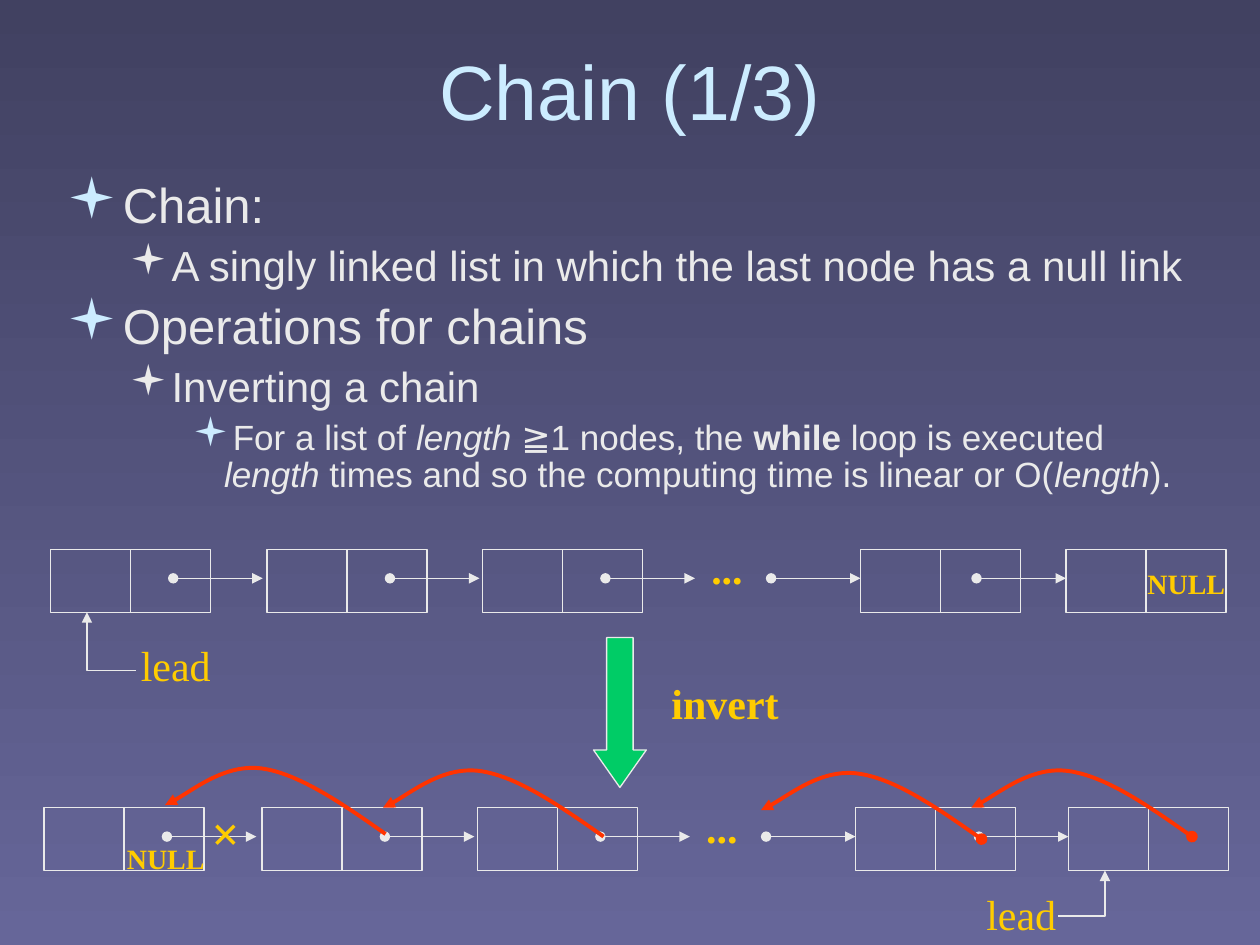
from lxml import etree
from pptx import Presentation
from pptx.dml.color import RGBColor
from pptx.enum.shapes import MSO_CONNECTOR, MSO_SHAPE
from pptx.enum.text import MSO_ANCHOR, MSO_AUTO_SIZE, PP_ALIGN
from pptx.oxml.ns import qn
from pptx.util import Inches, Pt

STRAIGHT = MSO_CONNECTOR.STRAIGHT
RECTANGLE, DOWN_ARROW = MSO_SHAPE.RECTANGLE, MSO_SHAPE.DOWN_ARROW
MIDDLE, CENTER = MSO_ANCHOR.MIDDLE, PP_ALIGN.CENTER
GROW = MSO_AUTO_SIZE.SHAPE_TO_FIT_TEXT

BG_TOP = RGBColor(0x41, 0x41, 0x61)
BG_BOTTOM = RGBColor(0x66, 0x66, 0x99)
PALE_BLUE = RGBColor(0xCC, 0xEC, 0xFF)
LIGHT = RGBColor(0xEA, 0xEA, 0xEA)
YELLOW = RGBColor(0xFF, 0xCC, 0x00)
RED = RGBColor(0xFF, 0x33, 0x00)
GREEN = RGBColor(0x00, 0xCC, 0x66)

SANS, SERIF, SYMBOLS = "Arial", "Times New Roman", "Wingdings"
COLUMNS, ROWS = 100, 75

NODE_W, NODE_H = 12.7, 5
WIRE_DX, WIRE_DY, WIRE_LEN = 9.75, 2.3, 7.1
# Control points of a back link, relative to its start
BACK_LINK = [(-3.4, -2.4), (-6.9, -4.8), (-9.8, -5.2),
             (-12.7, -5.6), (-16.2, -2.8), (-17.5, -2.3)]

# Level: (left margin, first-line indent, space before, size, bullet colour, bullet %)
LEVELS = [
    (0.38, -0.38, 7, 28, PALE_BLUE, 115),
    (0.81, -0.31, 6, 24, LIGHT, 100),
    (1.25, -0.25, 5, 20, PALE_BLUE, 115),
]
ITALIC, BOLD = {"italic": True}, {"bold": True}
OUTLINE = [
    (0, [("Chain:", {})]),
    (1, [("A singly linked list in which the last node has a null link", {})]),
    (0, [("Operations for chains", {})]),
    (1, [("Inverting a chain", {})]),
    (2, [("For a list of ", {}), ("length", ITALIC), (" ≧1 nodes, the ", {}),
         ("while", BOLD), (" loop is executed ", {}), ("length", ITALIC),
         (" times and so the computing time is linear or O(", {}),
         ("length", ITALIC), (").", {})]),
]


def add_run(p, text, size=24, font=SERIF, color=YELLOW, bold=False, italic=False):
    r = p.add_run()
    r.text = text
    r.font.size, r.font.name = Pt(size), font
    r.font.bold, r.font.italic = bold, italic
    r.font.color.rgb = color


def add_bullet(p, margin, indent, color, percent):
    pPr = p._p.get_or_add_pPr()
    pPr.set("marL", str(Inches(margin)))
    pPr.set("indent", str(Inches(indent)))
    clr = etree.SubElement(pPr, qn("a:buClr"))
    etree.SubElement(clr, qn("a:srgbClr"), val=str(color))
    etree.SubElement(pPr, qn("a:buSzPct"), val=str(percent * 1000))
    etree.SubElement(pPr, qn("a:buFont"), typeface=SYMBOLS)
    etree.SubElement(pPr, qn("a:buChar"), char="▪")


def style_line(s, color=LIGHT, width=0.75, head=None, tail=None):
    s.line.color.rgb = color
    s.line.width = Pt(width)
    ln = s.line._get_or_add_ln()
    for tag, kind in (("a:headEnd", head), ("a:tailEnd", tail)):
        if kind:
            etree.SubElement(ln, qn(tag), type=kind)


def curve_segments(s):
    """Turn every three straight segments of a freeform into one cubic curve."""
    path = next(s._element.iter(qn("a:path")))
    segments = path.findall(qn("a:lnTo"))
    for i in range(0, len(segments), 3):
        curve = etree.SubElement(path, qn("a:cubicBezTo"))
        for segment in segments[i:i + 3]:
            curve.append(segment[0])
            path.remove(segment)


class Canvas:
    """Draws on one slide; lengths are columns and rows of a 100 by 75 grid."""

    def __init__(self, prs):
        self.slide = prs.slides.add_slide(prs.slide_layouts[6])
        self.col, self.row = prs.slide_width / COLUMNS, prs.slide_height / ROWS

    def at(self, *lengths):
        units = (self.col, self.row) * 2
        return [round(n * unit) for n, unit in zip(lengths, units)]

    def background(self, top, bottom):
        fill = self.slide.background.fill
        fill.gradient()
        fill.gradient_angle = 270
        for stop, color in zip(fill.gradient_stops, (top, bottom)):
            stop.color.rgb = color

    def text_box(self, x, y, w, h):
        tf = self.slide.shapes.add_textbox(*self.at(x, y, w, h)).text_frame
        tf.word_wrap = True
        return tf

    def label(self, text, x, y, w, h, **fmt):
        tf = self.text_box(x, y, w, h)
        tf.word_wrap, tf.auto_size = False, GROW
        tf.margin_left = tf.margin_right = 0
        tf.paragraphs[0].alignment = CENTER
        add_run(tf.paragraphs[0], text, **fmt)

    def outline(self, items, x, y, w, h):
        tf = self.text_box(x, y, w, h)
        for i, (level, runs) in enumerate(items):
            margin, indent, before, size, color, percent = LEVELS[level]
            p = tf.add_paragraph() if i else tf.paragraphs[0]
            p.level = level
            add_bullet(p, margin, indent, color, percent)
            p.line_spacing = 0.9
            if i:
                p.space_before = Pt(before)
            for text, fmt in runs:
                add_run(p, text, size=size, font=SANS, color=LIGHT, **fmt)

    def shape(self, kind, x, y, w, h, fill=None):
        s = self.slide.shapes.add_shape(kind, *self.at(x, y, w, h))
        s.shadow.inherit = False
        if fill is None:
            s.fill.background()
        else:
            s.fill.solid()
            s.fill.fore_color.rgb = fill
        style_line(s)
        return s

    def line(self, x1, y1, x2, y2, **style):
        s = self.slide.shapes.add_connector(STRAIGHT, *self.at(x1, y1, x2, y2))
        style_line(s, **style)
        etree.SubElement(s._element.spPr, qn("a:effectLst"))
        return s

    def node(self, x, y):
        box = self.shape(RECTANGLE, x, y, NODE_W, NODE_H)
        middle = x + NODE_W / 2
        divider = self.line(middle, y, middle, y + NODE_H)
        divider.begin_connect(box, 0)
        divider.end_connect(box, 2)

    def chain(self, lefts, y):
        for x in lefts:
            self.node(x, y)
        starts = [x + WIRE_DX for x in lefts[:3]] + [x - WIRE_LEN for x in lefts[3:]]
        wire_y = y + WIRE_DY
        for x in starts:
            self.line(x, wire_y, x + WIRE_LEN, wire_y, head="oval", tail="triangle")
        self.label("...", lefts[2] + 17.15, y - 1, 4.5, 5, bold=True)

    def route(self, x, y, offsets, curved=False, **style):
        """Open path from a start through points given relative to it."""
        builder = self.slide.shapes.build_freeform(*self.at(x, y))
        builder.add_line_segments(
            [self.at(x + dx, y + dy) for dx, dy in offsets], close=False)
        s = builder.convert_to_shape()
        s.shadow.inherit = False
        s.fill.background()
        style_line(s, **style)
        if curved:
            curve_segments(s)


def main():
    prs = Presentation()
    prs.slide_width, prs.slide_height = Inches(10), Inches(7.5)
    c = Canvas(prs)
    c.background(BG_TOP, BG_BOTTOM)

    title = c.text_box(5.1, 2.8, 89.8, 8.7)
    title.vertical_anchor = MIDDLE
    title.paragraphs[0].alignment = CENTER
    add_run(title.paragraphs[0], "Chain (1/3)", size=44, font=SANS, color=PALE_BLUE)
    c.outline(OUTLINE, 4.3, 13.9, 91.5, 26)

    c.chain([4, 21.2, 38.3, 68.3, 84.6], 43.6)
    c.chain([3.5, 20.8, 37.9, 67.9, 84.8], 64.1)
    for x, y, head in [(30.6, 66.2, None), (47.9, 66.4, None),
                       (94.6, 66.4, "oval"), (77.9, 66.6, "oval")]:
        c.route(x, y, BACK_LINK, curved=True, color=RED, width=2.25,
                head=head, tail="triangle")

    for x, y in [(90.1, 44.5), (9.1, 66.3)]:
        c.label("NULL", x, y, 8.1, 3.7, size=16, bold=True)
    c.label("×", 15.8, 63.2, 4.2, 5.7, size=28, bold=True)

    c.route(6.9, 48.6, [(0, 4.6), (3.9, 4.6)], head="triangle")
    c.label("lead", 10.2, 50.3, 7.5, 5)
    c.route(87.7, 69.1, [(0, 3.6), (-3.7, 3.6)], head="triangle")
    c.label("lead", 77.3, 70, 7.5, 5)

    arrow = c.shape(DOWN_ARROW, 47.1, 50.6, 4.2, 11.9, fill=GREEN)
    arrow.adjustments[0], arrow.adjustments[1] = 0.5, 0.71
    c.label("invert", 52.3, 53.3, 10.5, 5, bold=True)

    prs.save("out.pptx")


if __name__ == "__main__":
    main()
